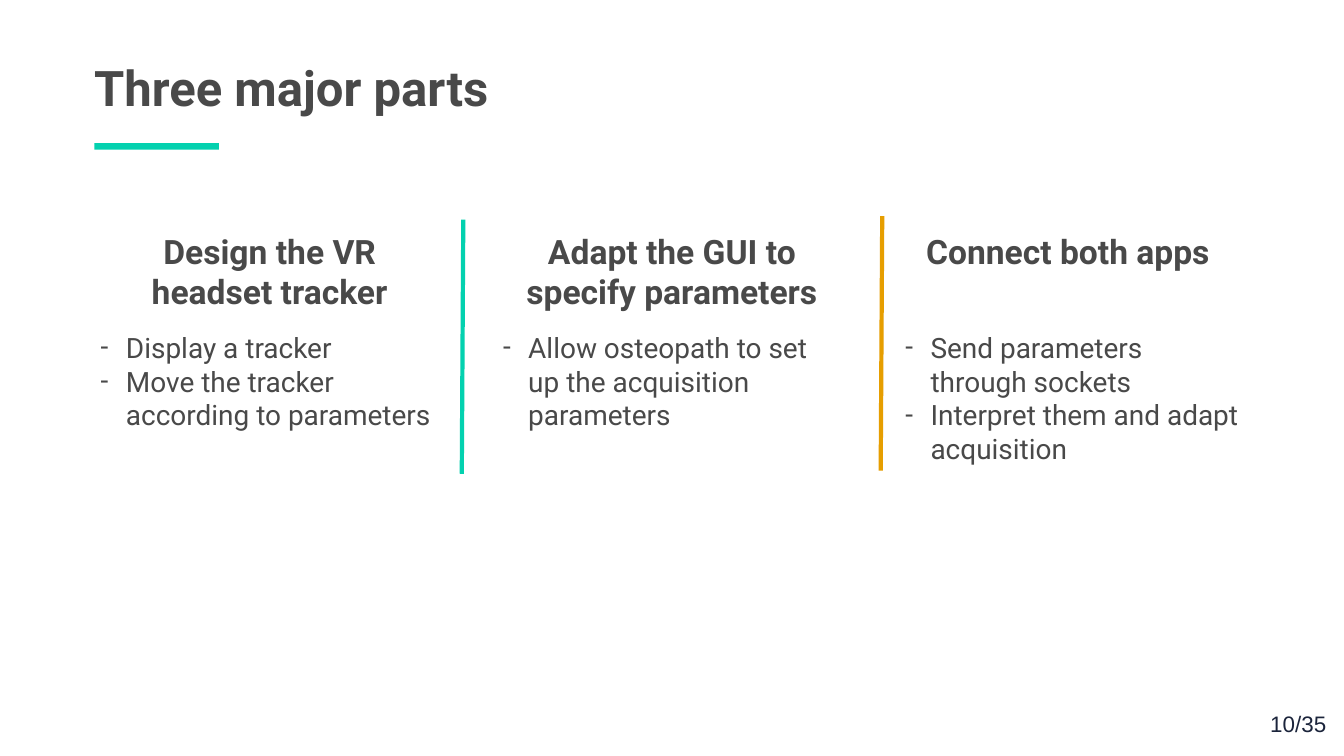
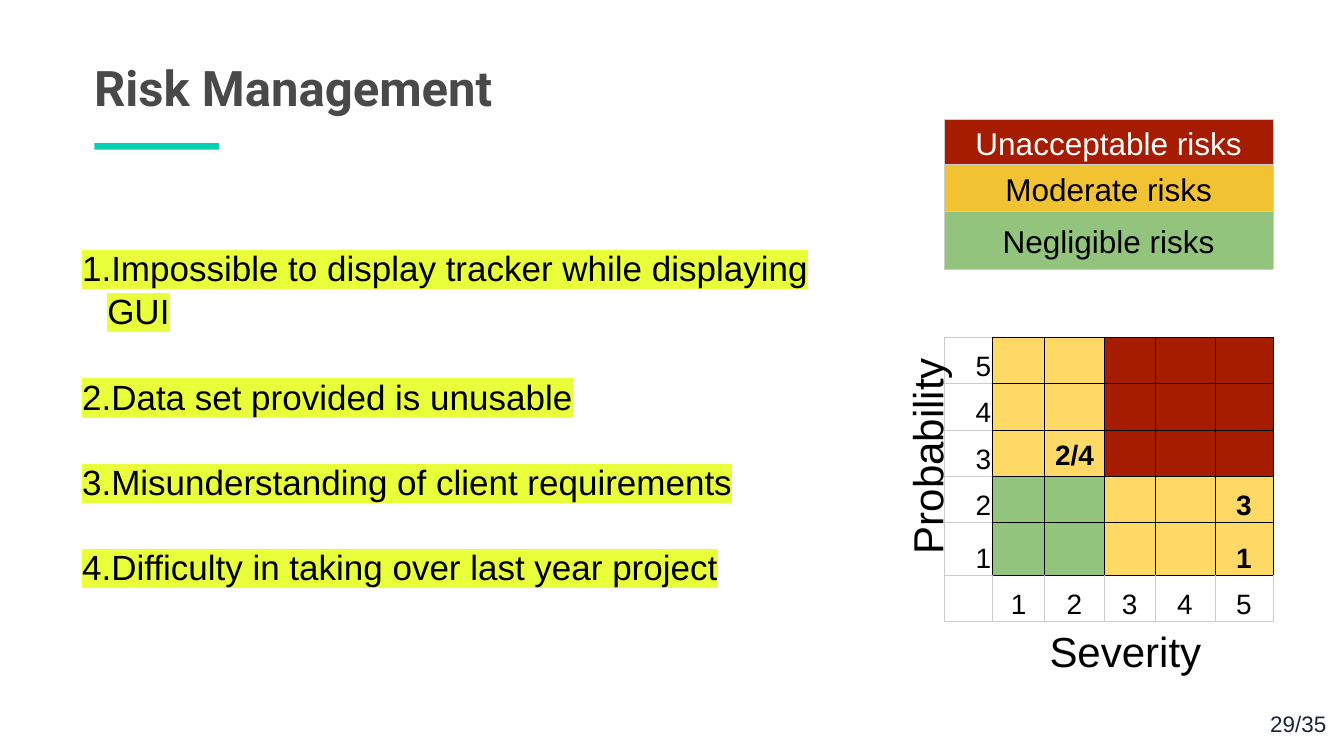
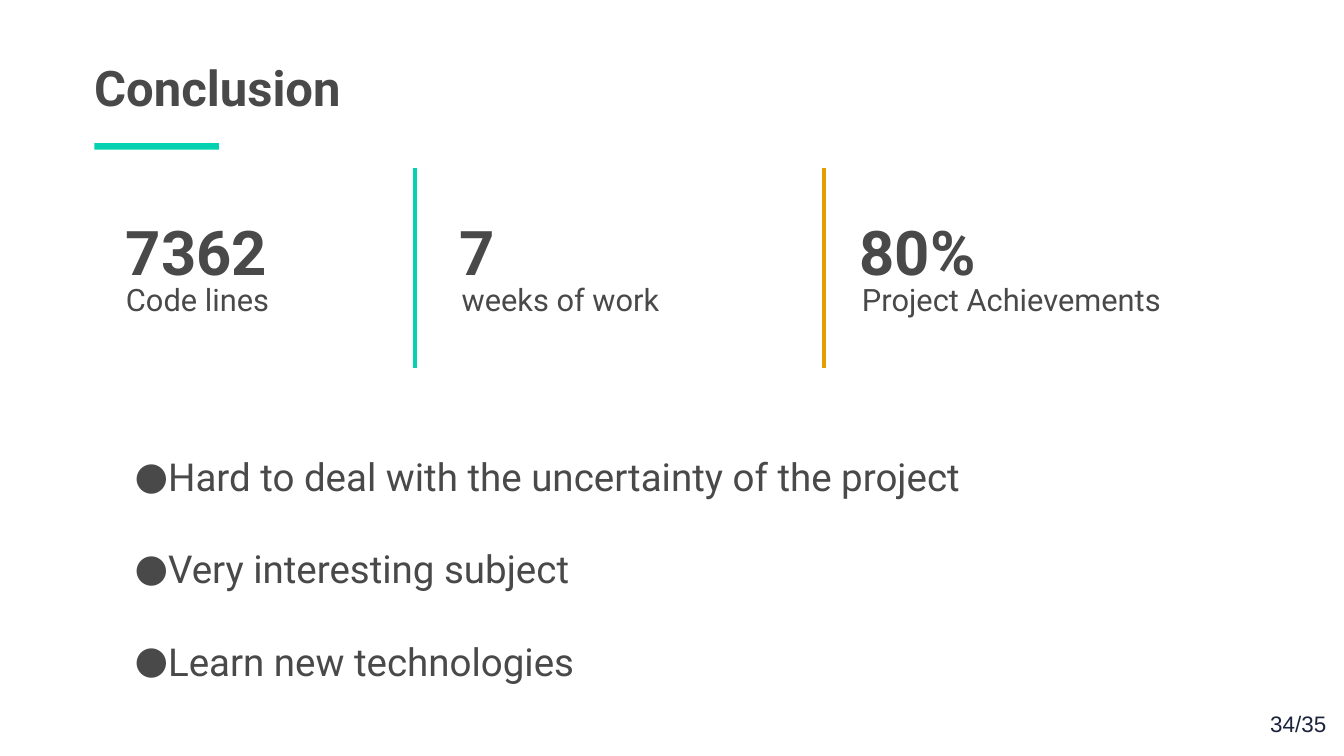
from dataclasses import dataclass
from typing import Any, NamedTuple, Optional

from lxml.etree import SubElement
from pptx import Presentation
from pptx.dml.color import RGBColor
from pptx.enum.shapes import MSO_CONNECTOR, MSO_SHAPE
from pptx.enum.text import MSO_ANCHOR, PP_ALIGN
from pptx.oxml.ns import qn
from pptx.util import Inches, Pt


@dataclass(frozen=True)
class Theme:
    roboto: str = "Roboto"
    arial: str = "Arial"
    grey: str = "494949"
    navy: str = "1B243B"
    black: str = "000000"
    white: str = "FFFFFF"
    teal: str = "03D1AF"
    amber: str = "E69E00"
    marker: str = "E9FF39"
    border: str = "CCCCCC"
    red: str = "A61C00"
    gold: str = "F1C232"
    yellow: str = "FFD966"
    green: str = "93C47D"
    title: int = 70
    figure: int = 88
    axis: int = 60
    conclusion: int = 55
    risk: int = 50
    heading: int = 48
    legend: int = 45
    caption: int = 44
    body: int = 40
    footer: int = 32


T = Theme()


class Box(NamedTuple):
    left: float
    top: float
    width: float
    height: float


class Style(NamedTuple):
    size: int
    font: str = T.roboto
    color: str = T.grey
    bold: bool = False
    align: Optional[PP_ALIGN] = None
    spacing: Optional[float] = None
    gap: float = 0
    highlight: str = ""


class Bullet(NamedTuple):
    indent: float
    char: str = ""


class Part(NamedTuple):
    left: float
    heading: str
    items: list[str]
    heading_width: float
    items_width: float


class Stat(NamedTuple):
    left: float
    figure: str
    caption: str
    shift: float
    width: float


class Rule(NamedTuple):
    x1: float
    y1: float
    x2: float
    y2: float
    color: str


class Borders(NamedTuple):
    left: str
    right: str
    top: str
    bottom: str


TITLE = Style(T.title, bold=True)
FOOTER = Style(T.footer, T.arial, T.navy, align=PP_ALIGN.RIGHT)
HEADING = Style(T.heading, bold=True, align=PP_ALIGN.CENTER)
BODY = Style(T.body)
FIGURE = Style(T.figure, bold=True)
CAPTION = Style(T.caption)
CONCLUSION = Style(T.conclusion, spacing=2.0)
RISK = Style(T.risk, T.arial, T.black, spacing=1.03, gap=60, highlight=T.marker)
AXIS = Style(T.axis, T.arial, T.black, align=PP_ALIGN.CENTER)

PARTS = [
    Part(1.9, "Design the VR headset tracker",
         ["Display a tracker", "Move the tracker according to parameters"], 6.9, 6.9),
    Part(9.88, "Adapt the GUI to specify parameters",
         ["Allow osteopath to set up the acquisition parameters"], 6.9, 6.65),
    Part(17.86, "Connect both apps",
         ["Send parameters through sockets", "Interpret them and adapt acquisition"], 6.65, 6.9),
]
PART_RULES = [Rule(9.19, 4.36, 9.16, 9.4, T.teal), Rule(17.5, 4.29, 17.47, 9.34, T.amber)]
RISKS = [
    "Impossible to display tracker while displaying GUI",
    "Data set provided is unusable",
    "Misunderstanding of client requirements",
    "Difficulty in taking over last year project",
]
LEGEND = [
    ("Unacceptable risks", T.red, T.white),
    ("Moderate risks", T.gold, T.black),
    ("Negligible risks", T.green, T.black),
]
LEVELS = 5
RISK_MARKS = {(3, 2): "2/4", (2, 5): "3", (1, 5): "1"}
STATS = [
    Stat(2.4, "7362", "Code lines", 0, 5.84),
    Stat(9.01, "7", "weeks of work", 0.05, 6.64),
    Stat(16.95, "80%", "Project Achievements", 0.05, 6.29),
]
STAT_RULES = [Rule(8.24, 3.33, 8.24, 7.31, T.teal), Rule(16.34, 3.33, 16.34, 7.31, T.amber)]
LESSONS = [
    "Hard to deal with the uncertainty of the project",
    "Very interesting subject",
    "Learn new technologies",
]


def apply(target: Any, formats: dict[str, Any]) -> None:
    for name, value in formats.items():
        setattr(target, name, value)


def rgb(color: str) -> RGBColor:
    return RGBColor.from_string(color)


def color_in(parent: Any, tag: str, color: str) -> Any:
    el = SubElement(parent, qn(tag))
    SubElement(el, qn("a:srgbClr")).set("val", color)
    return el


def add_bullet(p: Any, bullet: Bullet, style: Style) -> None:
    pPr = p._p.get_or_add_pPr()
    pPr.set("marL", str(Inches(0.5)))
    pPr.set("indent", str(Inches(bullet.indent)))
    color_in(pPr, "a:buClr", style.color)
    SubElement(pPr, qn("a:buFont")).set("typeface", style.font)
    if bullet.char:
        SubElement(pPr, qn("a:buChar")).set("char", bullet.char)
    else:
        SubElement(pPr, qn("a:buAutoNum")).set("type", "arabicPeriod")


def write(tf: Any, lines: list[str], style: Style, bullet: Optional[Bullet] = None) -> None:
    for i, line in enumerate(lines):
        p = tf.add_paragraph() if i else tf.paragraphs[0]
        apply(p, {"alignment": style.align, "line_spacing": style.spacing})
        if i and style.gap:
            p.space_before = Pt(style.gap)
        if bullet:
            add_bullet(p, bullet, style)
        r = p.add_run()
        r.text = line
        apply(r.font, {"size": Pt(style.size), "name": style.font, "bold": style.bold})
        r.font.color.rgb = rgb(style.color)
        if style.highlight:
            rPr = r._r.get_or_add_rPr()
            mark = color_in(rPr, "a:highlight", style.highlight)
            rPr.find(qn("a:solidFill")).addnext(mark)


def add_text(s: Any, box: Box, lines: list[str], style: Style, bullet: Optional[Bullet] = None,
             inset_x: float = 0.1, inset_y: float = 0.05) -> Any:
    sp = s.shapes.add_textbox(*map(Inches, box))
    tf = sp.text_frame
    apply(tf, {
        "word_wrap": True,
        "margin_left": Inches(inset_x),
        "margin_right": Inches(inset_x),
        "margin_top": Inches(inset_y),
        "margin_bottom": Inches(inset_y),
    })
    write(tf, lines, style, bullet)
    return sp


def add_rule(s: Any, rule: Rule) -> None:
    cx = s.shapes.add_connector(MSO_CONNECTOR.STRAIGHT, *map(Inches, rule[:4]))
    cx.line.width = Pt(6)
    cx.line.color.rgb = rgb(rule.color)
    SubElement(cx._element.spPr, qn("a:effectLst"))


def add_page(prs: Any, title: str, number: str) -> Any:
    s = prs.slides.add_slide(prs.slide_layouts[6])
    add_text(s, Box(1.77, 1.09, 18.7, 1.28), [title], TITLE)
    bar = s.shapes.add_shape(MSO_SHAPE.RECTANGLE, *map(Inches, Box(1.87, 2.84, 2.47, 0.13)))
    bar.shadow.inherit = False
    bar.fill.solid()
    bar.fill.fore_color.rgb = rgb(T.teal)
    bar.line.fill.background()
    add_text(s, Box(24.08, 13.85, 2.47, 1.15), [number], FOOTER, inset_x=0.24, inset_y=0.24)
    return s


def add_grid(s: Any, left: float, top: float, widths: list[float], heights: list[float]) -> Any:
    size = map(Inches, (left, top, sum(widths), sum(heights)))
    table = s.shapes.add_table(len(heights), len(widths), *size).table
    apply(table, {"first_row": False, "horz_banding": False})
    for column, width in zip(table.columns, widths):
        column.width = Inches(width)
    for row, height in zip(table.rows, heights):
        row.height = Inches(height)
    return table


def fill_cell(cell: Any, text: str, style: Style, fill: str, borders: Borders,
              anchor: MSO_ANCHOR) -> None:
    apply(cell, {
        "margin_left": Inches(0.03),
        "margin_right": Inches(0.03),
        "margin_top": Inches(0.02),
        "margin_bottom": Inches(0.02),
        "vertical_anchor": anchor,
    })
    tcPr = cell._tc.get_or_add_tcPr()
    for side, color in zip("LRTB", borders):
        ln = SubElement(tcPr, qn(f"a:ln{side}"))
        ln.set("w", str(Pt(0.75)))
        color_in(ln, "a:solidFill", color)
    if fill:
        cell.fill.solid()
        cell.fill.fore_color.rgb = rgb(fill)
    else:
        cell.fill.background()
    if text:
        write(cell.text_frame, [text], style)


def zone_color(probability: int, severity: int) -> str:
    likely, severe = probability > 2, severity > 2
    if likely and severe:
        return T.red
    return T.yellow if likely or severe else T.green


def add_matrix(s: Any) -> None:
    table = add_grid(s, 18.73, 6.69, [0.96, 1.03, 1.19, 1, 1.19, 1.15],
                     [0.92, 0.92, 0.92, 0.92, 1.04, 0.92])
    for row in range(LEVELS + 1):
        for severity in range(LEVELS + 1):
            probability = LEVELS - row
            in_zone = bool(probability and severity)
            mark = RISK_MARKS.get((probability, severity), "")
            text = mark if in_zone else str(probability or severity or "")
            align = PP_ALIGN.CENTER if severity else PP_ALIGN.RIGHT
            style = Style(T.body, T.arial, T.black, in_zone, align, 1.15)
            grey, black = T.border, T.black
            borders = Borders(
                black if in_zone else grey,
                black if probability else grey,
                black if severity else grey,
                black if in_zone else grey,
            )
            fill = zone_color(probability, severity) if in_zone else ""
            anchor = MSO_ANCHOR.MIDDLE if mark == "2/4" else MSO_ANCHOR.BOTTOM
            fill_cell(table.cell(row, severity), text, style, fill, borders, anchor)


def add_legend(s: Any) -> None:
    table = add_grid(s, 18.73, 2.36, [6.52], [0.9, 0.93, 1.15])
    for row, (text, fill, color) in enumerate(LEGEND):
        style = Style(T.legend, T.arial, color, align=PP_ALIGN.CENTER, spacing=1.15)
        fill_cell(table.cell(row, 0), text, style, fill, Borders(*[T.border] * 4),
                  MSO_ANCHOR.MIDDLE)


def build_parts(prs: Any) -> None:
    s = add_page(prs, "Three major parts", "10/35")
    for part in PARTS:
        add_text(s, Box(part.left, 4.53, part.heading_width, 2.02), [part.heading], HEADING)
        add_text(s, Box(part.left, 6.51, part.items_width, 3.22), part.items, BODY,
                 Bullet(-0.53, "-"))
    for rule in PART_RULES:
        add_rule(s, rule)


def build_risks(prs: Any) -> None:
    s = add_page(prs, "Risk Management", "29/35")
    add_matrix(s)
    add_text(s, Box(20.72, 12.32, 3.76, 1.28), ["Severity"], AXIS._replace(align=None),
             inset_y=0.1)
    sp = add_text(s, Box(16.06, 8.41, 4.72, 1.28), ["Probability"], AXIS, inset_y=0.1)
    sp.rotation = 270
    add_text(s, Box(1.53, 4.82, 14.93, 7.21), RISKS, RISK, Bullet(-0.6))
    add_legend(s)


def build_conclusion(prs: Any) -> None:
    s = add_page(prs, "Conclusion", "34/35")
    add_text(s, Box(2.57, 8.02, 21.51, 5.68), LESSONS, CONCLUSION, Bullet(-0.63, "●"))
    for stat in STATS:
        add_text(s, Box(stat.left + stat.shift, 5.53, stat.width, 0.84), [stat.caption], CAPTION)
        add_text(s, Box(stat.left, 4.2, 6.51, 1.58), [stat.figure], FIGURE)
    for rule in STAT_RULES:
        add_rule(s, rule)


def main() -> None:
    prs = Presentation()
    apply(prs, {"slide_width": Inches(26.66), "slide_height": Inches(15)})
    build_parts(prs)
    build_risks(prs)
    build_conclusion(prs)
    prs.save("out.pptx")


if __name__ == "__main__":
    main()
